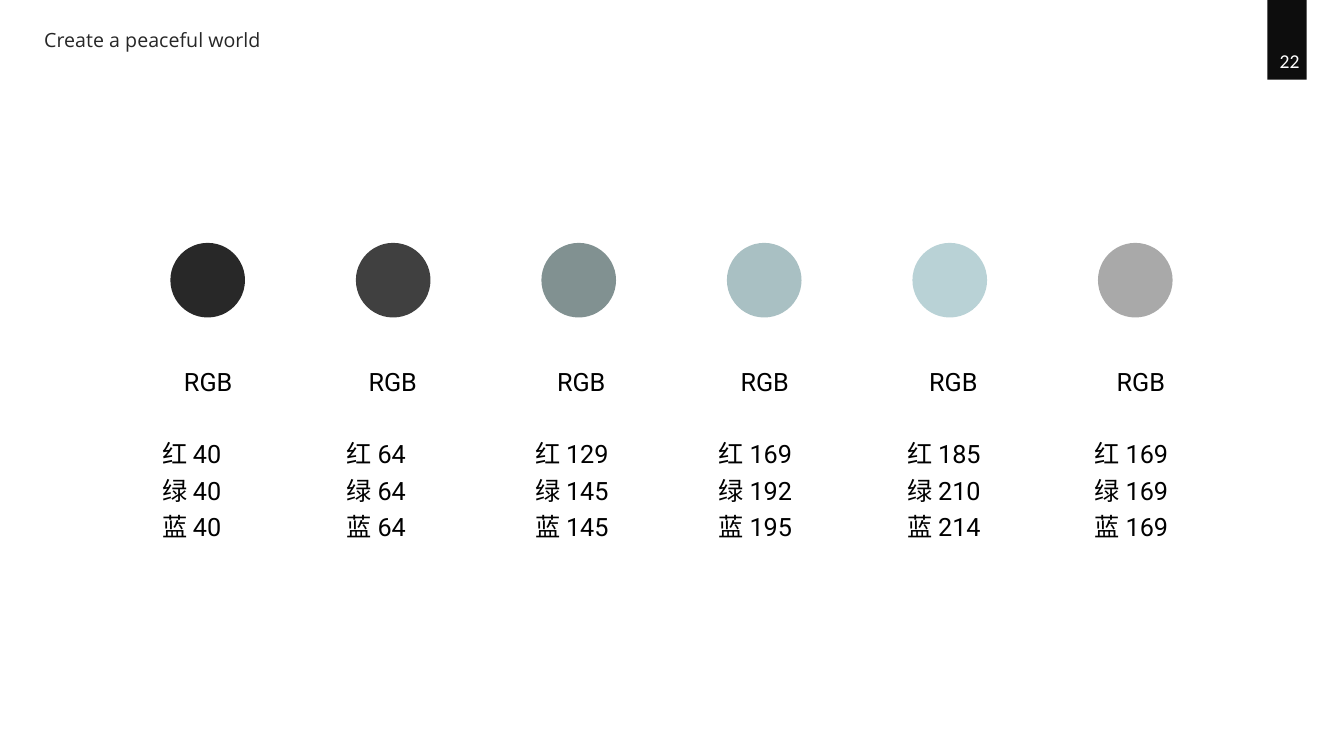
from dataclasses import dataclass

from pptx import Presentation
from pptx import util as u
from pptx.dml import color
from pptx.enum import shapes, text


@dataclass
class Swatch:
    label_left: float
    rgb: tuple[int, int, int]


@dataclass
class Line:
    words: str
    format: dict


SWATCHES = [
    Swatch(1.51, (40, 40, 40)),
    Swatch(3.34, (64, 64, 64)),
    Swatch(5.21, (129, 145, 145)),
    Swatch(7.03, (169, 192, 195)),
    Swatch(8.90, (185, 210, 214)),
    Swatch(10.76, (169, 169, 169)),
]
CHANNELS = "红绿蓝"
FIRST_CIRCLE, CIRCLE_PITCH, CIRCLE_TOP, CIRCLE_SIZE = 1.69, 1.84, 2.41, 0.74
LINE_PITCH = u.Pt(26)
CENTER = text.PP_ALIGN.CENTER


def set_all(target, values: dict) -> None:
    for name, value in values.items():
        setattr(target, name, value)


def hex_color(code: str) -> color.RGBColor:
    return color.RGBColor.from_string(code)


def add_filled(slide, kind, left: float, top: float, width: float, height: float, fill: str) -> None:
    shape = slide.shapes.add_shape(kind, *map(u.Inches, (left, top, width, height)))
    shape.shadow.inherit = False
    shape.fill.solid()
    shape.fill.fore_color.rgb = hex_color(fill)
    shape.line.fill.background()


def add_text(slide, left: float, top: float, width: float, height: float, lines: list[Line],
             font: str, size: int, ink: str, anchor=text.MSO_ANCHOR.TOP) -> None:
    box = slide.shapes.add_textbox(*map(u.Inches, (left, top, width, height)))
    frame = box.text_frame
    set_all(frame, {"word_wrap": True, "vertical_anchor": anchor,
                    "auto_size": text.MSO_AUTO_SIZE.SHAPE_TO_FIT_TEXT})
    for index, line in enumerate(lines):
        paragraph = frame.add_paragraph() if index else frame.paragraphs[0]
        set_all(paragraph, line.format)
        run = paragraph.add_run()
        run.text = line.words
        set_all(run.font, {"name": font, "size": u.Pt(size)})
        run.font.color.rgb = hex_color(ink)


def add_swatch(slide, index: int, swatch: Swatch) -> None:
    # The circle shows the colour that its label spells out
    add_filled(slide, shapes.MSO_SHAPE.OVAL, FIRST_CIRCLE + index * CIRCLE_PITCH, CIRCLE_TOP,
               CIRCLE_SIZE, CIRCLE_SIZE, "%02X%02X%02X" % swatch.rgb)
    lines = [Line("RGB", {"alignment": CENTER, "line_spacing": LINE_PITCH})]
    lines += [Line(f"{channel} {value}", {"line_spacing": LINE_PITCH})
              for channel, value in zip(CHANNELS, swatch.rgb)]
    lines[1].format["space_before"] = LINE_PITCH
    add_text(slide, swatch.label_left, 3.52, 1.11, 1.92, lines, "Roboto", 18, "000000")


def main() -> None:
    presentation = Presentation()
    set_all(presentation, {"slide_width": u.Inches(13.33), "slide_height": u.Inches(7.5)})
    slide = presentation.slides.add_slide(presentation.slide_layouts[6])

    # Page number tab and heading
    add_filled(slide, shapes.MSO_SHAPE.RECTANGLE, 12.57, 0, 0.39, 0.79, "0D0D0D")
    add_text(slide, 12.43, 0.43, 0.72, 0.34, [Line("22", {"alignment": CENTER})],
             "Calibri", 14, "FFFFFF", text.MSO_ANCHOR.MIDDLE)
    add_text(slide, 0.34, 0.23, 3.31, 0.34, [Line("Create a peaceful world", {})],
             "Open Sans", 14, "262626")

    # Colour palette
    for index, swatch in enumerate(SWATCHES):
        add_swatch(slide, index, swatch)

    presentation.save("out.pptx")


if __name__ == "__main__":
    main()
